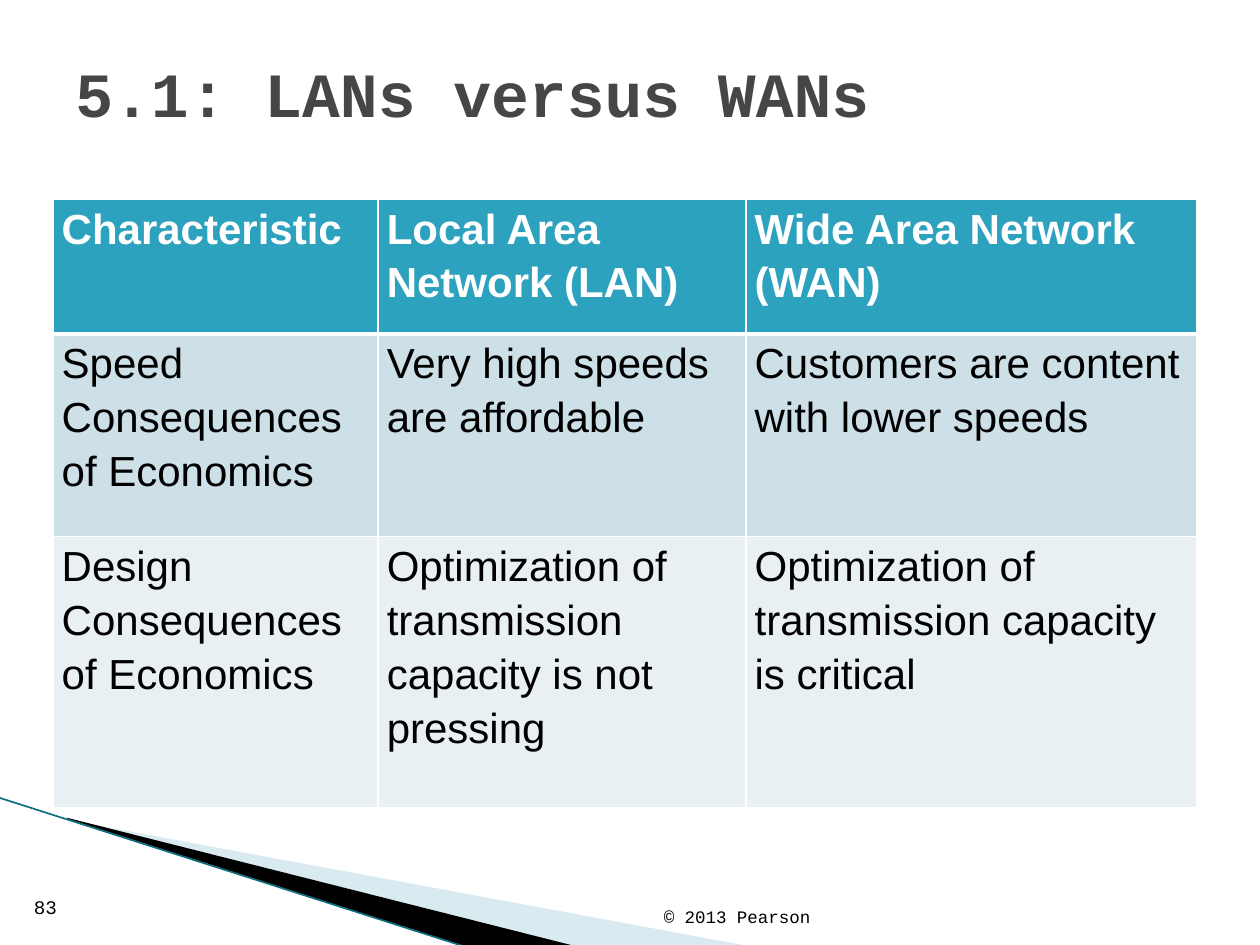
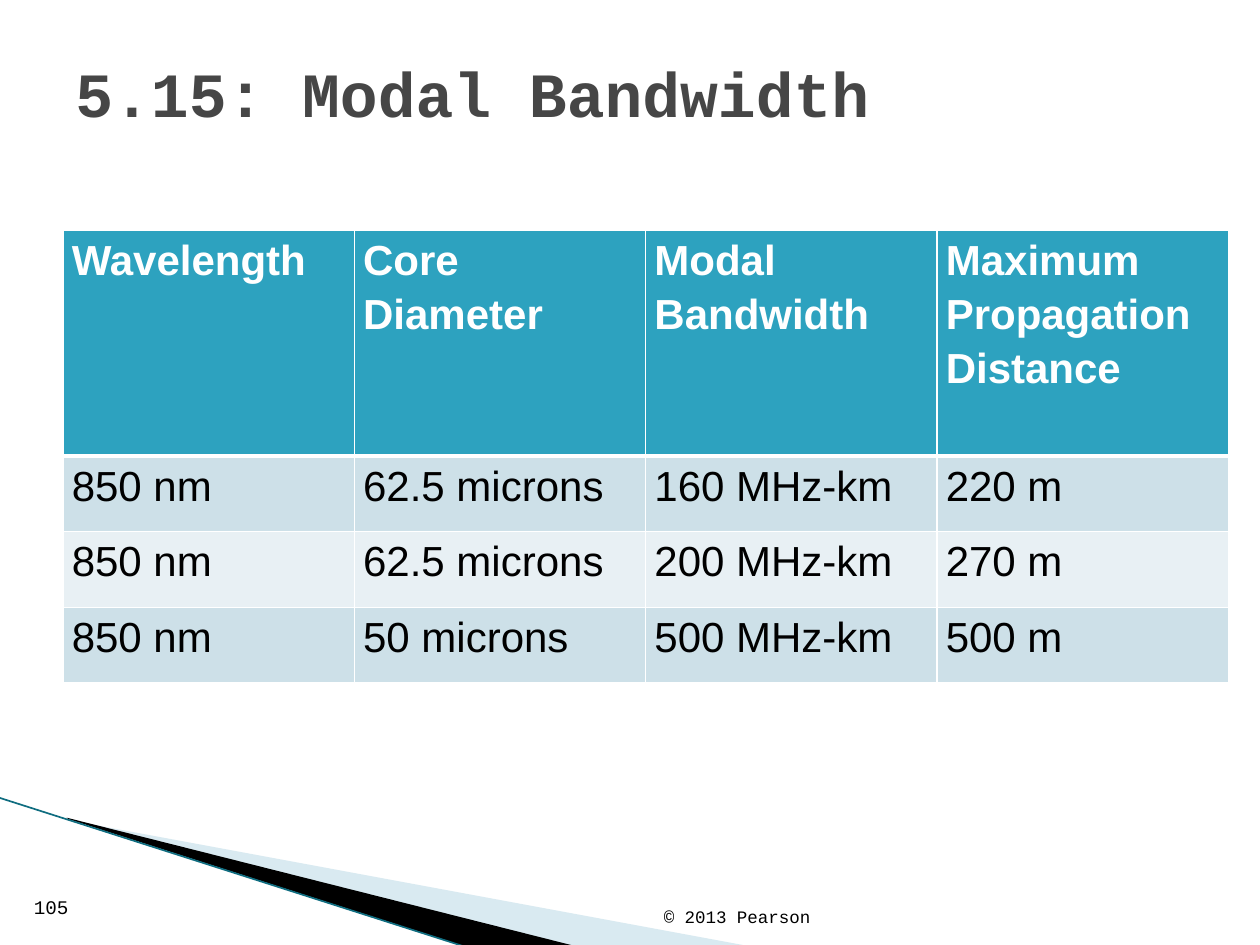
from dataclasses import dataclass

import lxml.etree
import pptx
import pptx.dml.color
import pptx.enum.shapes
import pptx.enum.text
import pptx.oxml.ns
import pptx.util

Inches = pptx.util.Inches
Pt = pptx.util.Pt
qn = pptx.oxml.ns.qn


@dataclass(frozen=True)
class Theme:
    accent: str = "2DA2BF"
    band_dark: str = "CDE0E8"
    band_light: str = "E8F0F4"
    wedge: str = "A0CBDC"
    wedge_edge: str = "0F6D80"
    title: str = "464646"
    ink: str = "000000"
    paper: str = "FFFFFF"
    title_font: str = "Courier New"
    table_font: str = "Arial"
    title_size: int = 36
    table_size: int = 24
    number_size: int = 11
    copyright_size: int = 10


THEME = Theme()
TITLE_BOX = (0.5, 0.3, 9, 0.87)
NUMBER_BOX = (0.17, 7.02, 1.33, 0.32)
COPYRIGHT_BOX = (5.17, 7.01, 2.1, 0.4)
COPYRIGHT = "© 2013 Pearson"
WEDGE_CORNER = (0.53, 6.49)
# Outlines of the corner wedges, measured from WEDGE_CORNER.
PALE_WEDGE = [(0.02, 0.02), (5.42, 1.02), (4.03, 1.02), (0.02, 0.01)]
DARK_WEDGE = [(0, 0), (4.04, 1.02), (3.19, 1.03), (0.01, 0.01)]
EDGE_LINE = [(-0.54, -0.16), (3.18, 1.03)]


def rgb(color):
    return pptx.dml.color.RGBColor.from_string(color)


def style_text(paragraph, font, size, color, bold=False):
    for run in paragraph.runs:
        run.font.name = font
        run.font.size = Pt(size)
        run.font.color.rgb = rgb(color)
        run.font.bold = bold


def add_label(slide, box, text, size, color, anchor, bold=False):
    frame = slide.shapes.add_textbox(*map(Inches, box)).text_frame
    frame.word_wrap = True
    frame.vertical_anchor = anchor
    frame.text = text
    style_text(frame.paragraphs[0], THEME.title_font, size, color, bold)


def add_wedge(slide, corner, outline, color, opacity=100):
    points = [(Inches(corner[0] + x), Inches(corner[1] + y)) for x, y in outline]
    builder = slide.shapes.build_freeform(*points[0])
    builder.add_line_segments(points[1:], close=True)
    wedge = builder.convert_to_shape()
    wedge.shadow.inherit = False
    wedge.line.fill.background()
    wedge.fill.solid()
    wedge.fill.fore_color.rgb = rgb(color)
    if opacity < 100:
        fill_color = wedge.fill._xPr.find(qn("a:solidFill"))[0]
        lxml.etree.SubElement(fill_color, qn("a:alpha"), val=str(opacity * 1000))


def add_corner_wedges(slide, corner):
    add_wedge(slide, corner, PALE_WEDGE, THEME.wedge, opacity=40)
    add_wedge(slide, corner, DARK_WEDGE, THEME.ink)
    ends = [Inches(corner[axis] + point[axis]) for point in EDGE_LINE for axis in (0, 1)]
    edge = slide.shapes.add_connector(pptx.enum.shapes.MSO_CONNECTOR.STRAIGHT, *ends)
    edge.line.color.rgb = rgb(THEME.wedge_edge)
    edge.line.width = Pt(0.95)
    lxml.etree.SubElement(edge._element.spPr, qn("a:effectLst"))


def set_borders(cell, widths):
    """Draw cell borders; widths gives points for left, right, top, bottom."""
    properties = cell._tc.get_or_add_tcPr()
    for side, width in zip("LRTB", widths):
        border = lxml.etree.SubElement(properties, qn(f"a:ln{side}"), w=str(Pt(width)))
        fill = lxml.etree.SubElement(border, qn("a:solidFill"))
        lxml.etree.SubElement(fill, qn("a:srgbClr"), val=THEME.paper)


def fill_cell(cell, text, row):
    is_header = row == 0
    set_borders(cell, (1, 1, 3 if row == 1 else 1, 3 if is_header else 1))
    band = THEME.band_dark if row % 2 else THEME.band_light
    cell.fill.solid()
    cell.fill.fore_color.rgb = rgb(THEME.accent if is_header else band)
    cell.margin_left = cell.margin_right = Inches(0.07)
    cell.margin_top = cell.margin_bottom = 0
    cell.text = text
    paragraph = cell.text_frame.paragraphs[0]
    paragraph.line_spacing = 1.15
    paragraph.space_after = Pt(3)
    color = THEME.paper if is_header else THEME.ink
    style_text(paragraph, THEME.table_font, THEME.table_size, color, is_header)


def add_comparison(slide, corner, widths, heights, rows):
    size = (sum(widths), sum(heights))
    table = slide.shapes.add_table(
        len(rows), len(widths), *map(Inches, (*corner, *size))).table
    for column, width in zip(table.columns, widths):
        column.width = Inches(width)
    for row, height in zip(table.rows, heights):
        row.height = Inches(height)
    for r, texts in enumerate(rows):
        for c, text in enumerate(texts):
            fill_cell(table.cell(r, c), text, r)


def add_table_slide(deck, title, number, corner, widths, heights, rows):
    slide = deck.slides.add_slide(deck.slide_layouts[6])
    anchors = pptx.enum.text.MSO_ANCHOR
    add_corner_wedges(slide, WEDGE_CORNER)
    add_label(slide, TITLE_BOX, title, THEME.title_size, THEME.title,
              anchors.MIDDLE, bold=True)
    add_comparison(slide, corner, widths, heights, rows)
    add_label(slide, NUMBER_BOX, str(number), THEME.number_size, THEME.ink, anchors.BOTTOM)
    add_label(slide, COPYRIGHT_BOX, COPYRIGHT, THEME.copyright_size, THEME.ink,
              anchors.BOTTOM)


def main():
    deck = pptx.Presentation()
    deck.slide_width, deck.slide_height = Inches(10), Inches(7.5)
    add_table_slide(
        deck, "5.1: LANs versus WANs", 83, (0.42, 1.58),
        widths=[2.58, 2.92, 3.58], heights=[1.07, 1.61, 2.15],
        rows=[
            ("Characteristic", "Local Area Network (LAN)", "Wide Area Network (WAN)"),
            ("Speed Consequences of Economics", "Very high speeds are affordable",
             "Customers are content with lower speeds"),
            ("Design Consequences of Economics",
             "Optimization of transmission capacity is not pressing",
             "Optimization of transmission capacity is critical"),
        ])
    add_table_slide(
        deck, "5.15: Modal Bandwidth", 105, (0.5, 1.83),
        widths=[9.25 / 4] * 4, heights=[1.79] + [0.6] * 3,
        rows=[
            ("Wavelength", "Core Diameter", "Modal Bandwidth",
             "Maximum Propagation Distance"),
            ("850 nm", "62.5 microns", "160 MHz-km", "220 m"),
            ("850 nm", "62.5 microns", "200 MHz-km", "270 m"),
            ("850 nm", "50 microns", "500 MHz-km", "500 m"),
        ])
    deck.save("out.pptx")


if __name__ == "__main__":
    main()
